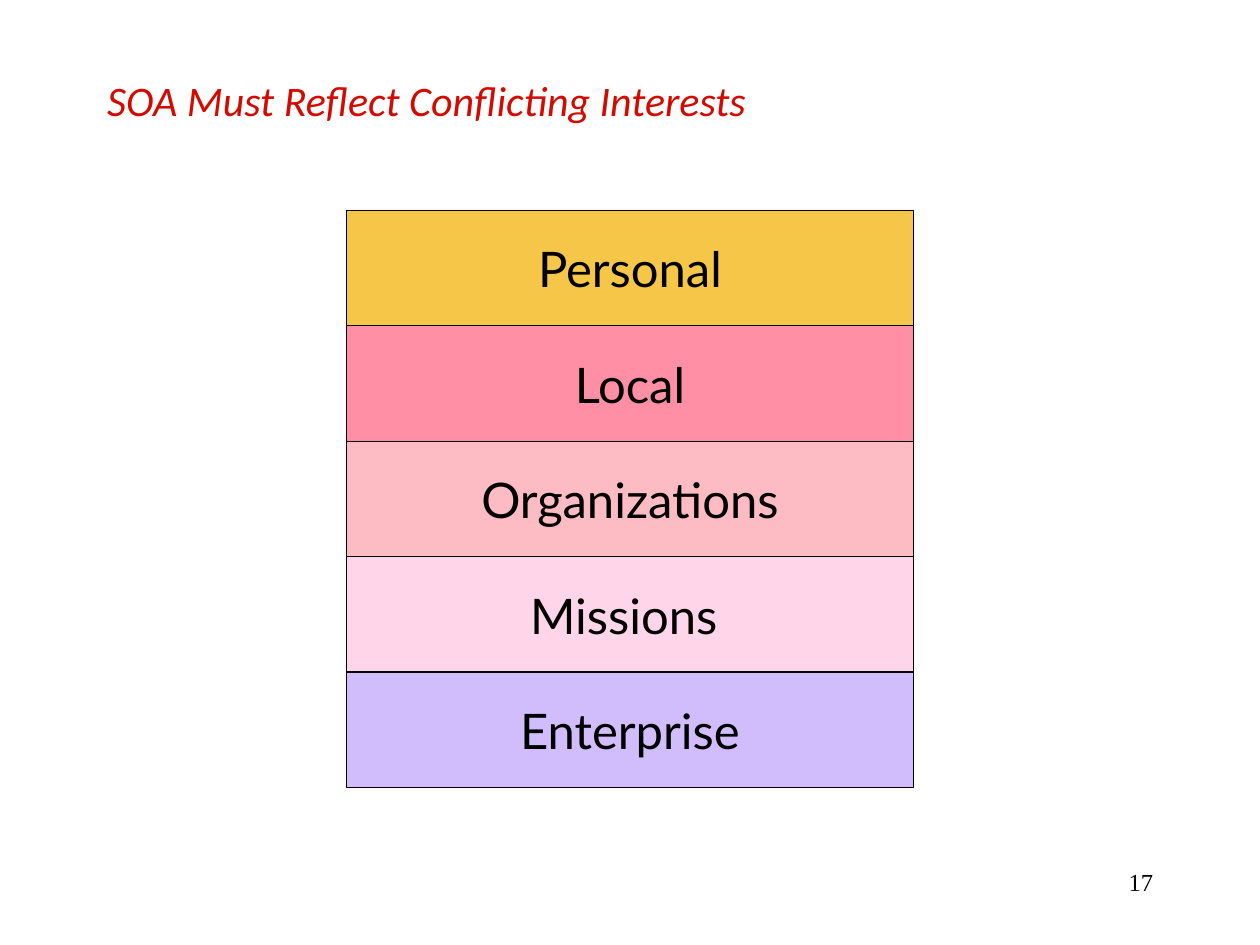
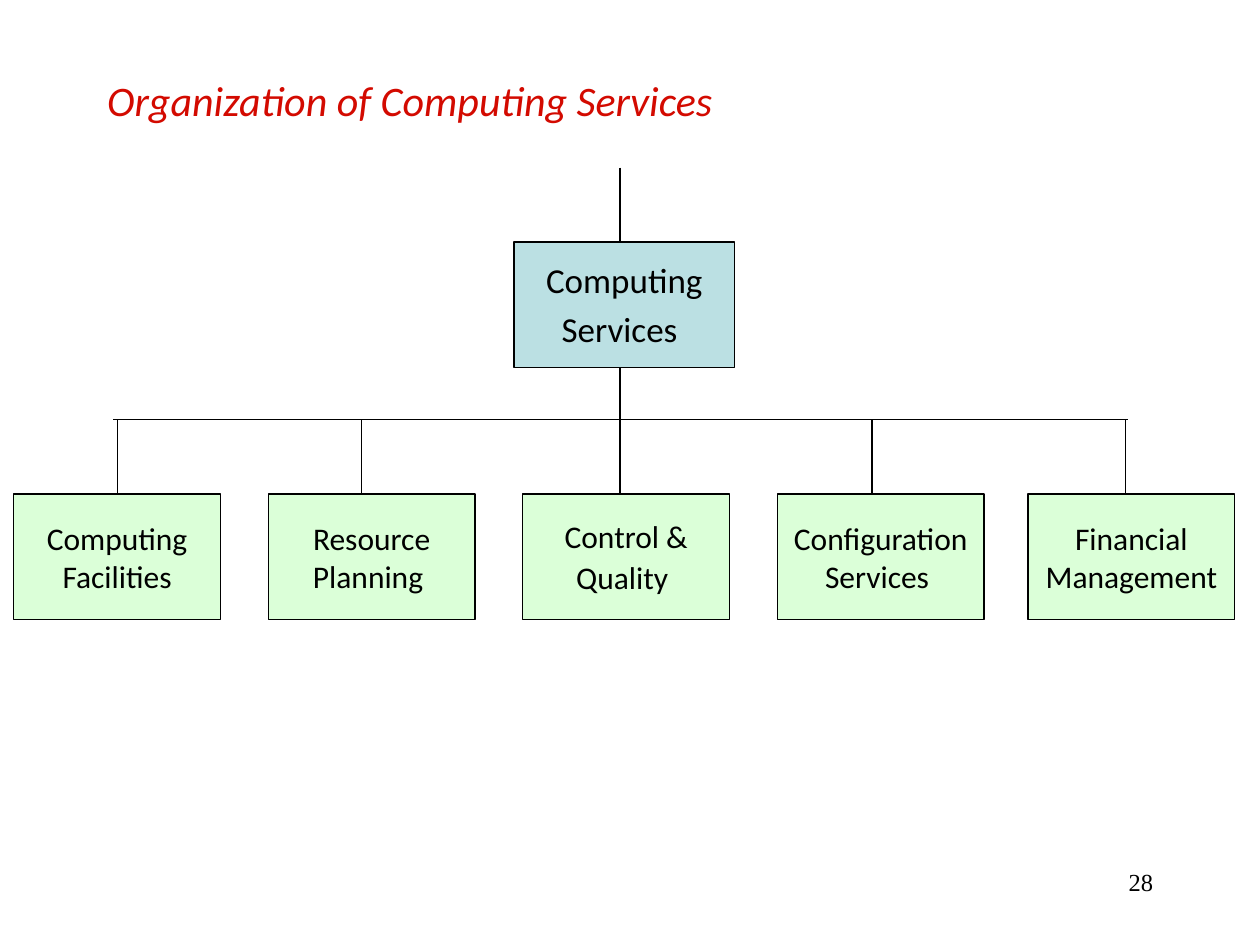
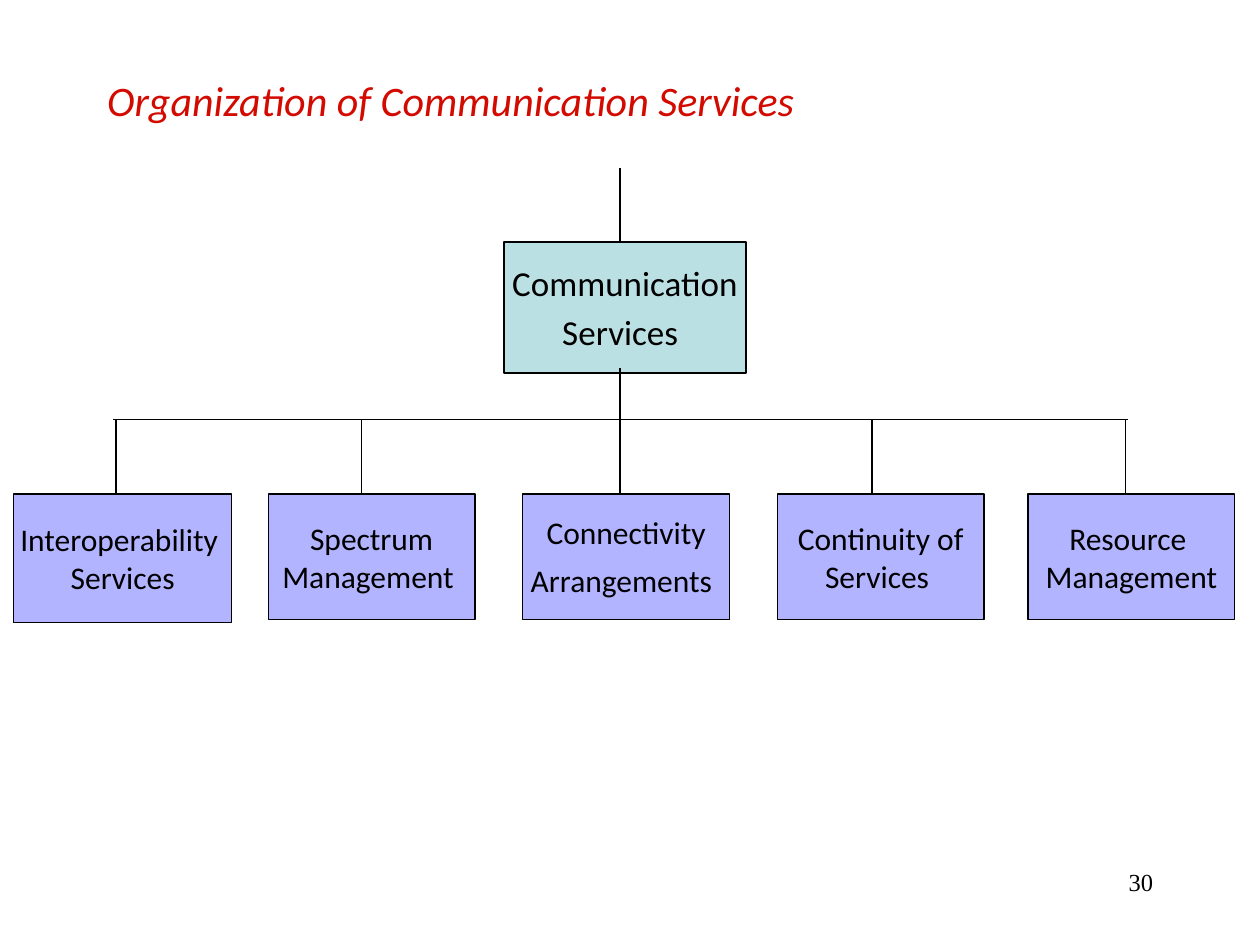
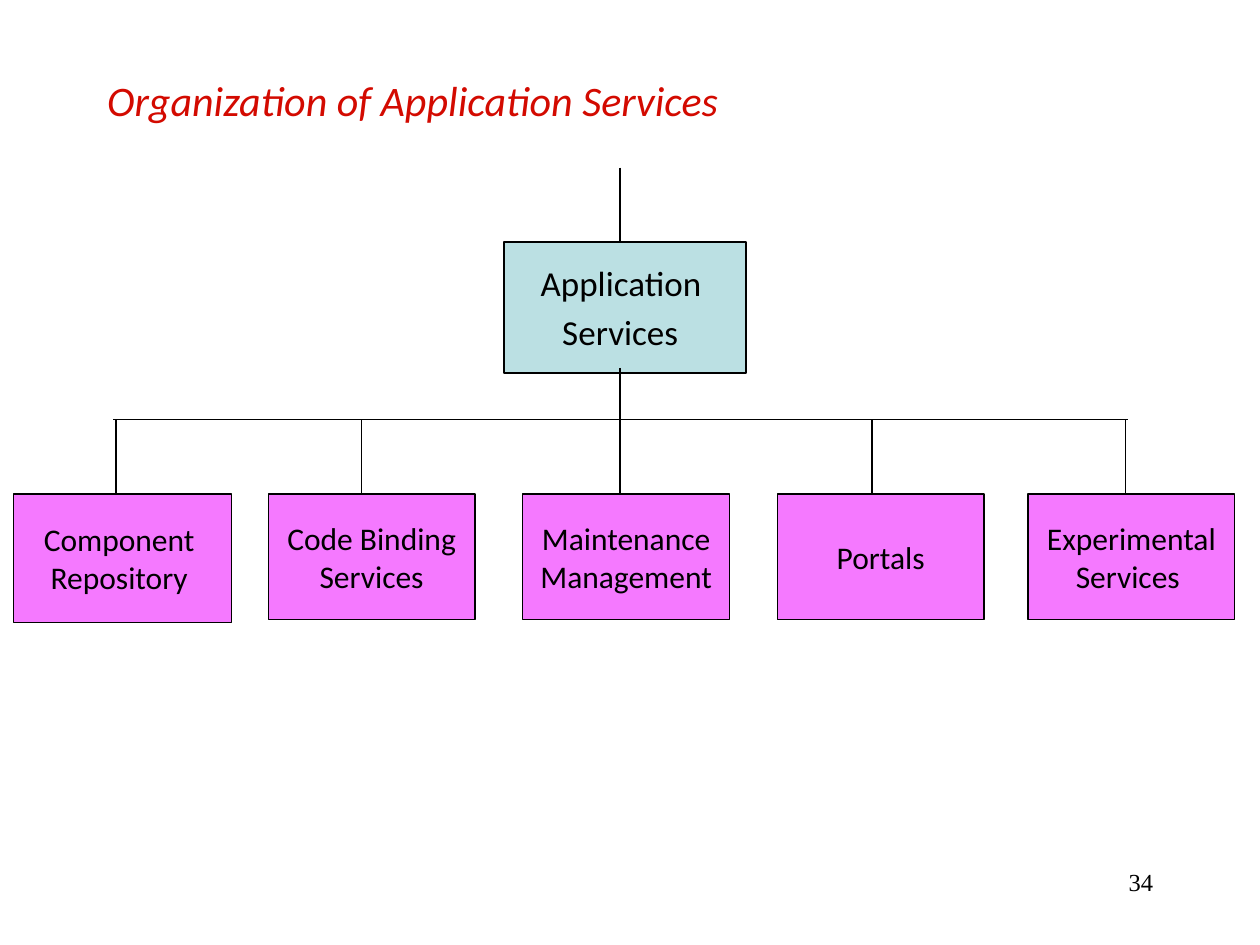
from lxml import etree
from pptx import Presentation
from pptx.dml.color import RGBColor
from pptx.enum import shapes, text
from pptx.oxml.ns import qn
from pptx.util import Inches, Pt

BLACK = RGBColor(0x00, 0x00, 0x00)
RED = RGBColor(0xD3, 0x0A, 0x00)
GOLD = RGBColor(0xF5, 0xC6, 0x47)
ROSE = RGBColor(0xFF, 0x8F, 0xA5)
SALMON = RGBColor(0xFD, 0xBB, 0xC3)
PINK = RGBColor(0xFF, 0xD5, 0xE9)
LILAC = RGBColor(0xD1, 0xBC, 0xFC)
TEAL = RGBColor(0xBB, 0xE0, 0xE3)
GREEN = RGBColor(0xDB, 0xFF, 0xD8)
BLUE = RGBColor(0xB3, 0xB4, 0xFF)
VIOLET = RGBColor(0xF5, 0x79, 0xFF)

# Layers from bottom to top
LAYERS = [
    ("Enterprise", LILAC),
    ("Missions ", PINK),
    ("Organizations", SALMON),
    ("Local", ROSE),
    ("Personal", GOLD),
]
STACK = {"title": "SOA Must Reflect Conflicting Interests", "page": 17}

# A line is a string, or a (string, size of its closing space) pair
SERVICES = ("Services", 24)
CHARTS = [
    {
        "title": "Organization of Computing Services", "page": 28,
        "head": ["Computing", SERVICES], "head_box": (4.08, 1.75, 1),
        "fill": GREEN, "first": (1.64, 1),
        "units": [
            ["Computing", "Facilities"],
            ["Resource", "Planning "],
            ["Control &", ("Quality", 20)],
            ["Configuration", "Services "],
            ["Financial", "Management"],
        ],
    },
    {
        "title": "Organization of Communication Services", "page": 30,
        "head": ["Communication", SERVICES], "head_box": (4, 1.92, 1.04),
        "fill": BLUE, "first": (1.73, 1.02),
        "units": [
            ["Interoperability ", "Services"],
            ["Spectrum", "Management "],
            ["Connectivity", ("Arrangements", 24)],
            ["Continuity of", "Services "],
            ["Resource ", "Management"],
        ],
    },
    {
        "title": "Organization of Application Services", "page": 34,
        "head": ["Application ", SERVICES], "head_box": (4, 1.92, 1.04),
        "fill": VIOLET, "first": (1.73, 1.02),
        "units": [
            ["Component ", "Repository "],
            ["Code Binding", "Services"],
            ["Maintenance", "Management"],
            ["Portals"],
            ["Experimental", "Services "],
        ],
    },
]

STACK_LEFT, STACK_TOP, STACK_END, STACK_WIDE = 2.75, 1.67, 6.25, 4.5
TRUNK, TRUNK_TOP, HEAD_TOP, HEAD_END = 4.92, 1.33, 1.92, 2.92
BUS_LEFT, BUS_RIGHT, BUS_TOP = 0.9, 8.95, 3.33
UNIT_TOP, UNIT_SIZE = 3.92, (1.64, 1)
UNIT_LEFTS = [round(0.11 + 2.02 * i, 2) for i in range(4)] + [8.16]
DROPS = [0.92, 2.87, TRUNK, 6.92, 8.93]


def write(frame, lines, size=18, font="Calibri", color=BLACK, italic=False,
          align=text.PP_ALIGN.CENTER, anchor=text.MSO_ANCHOR.MIDDLE, wrap=False):
    frame.word_wrap = wrap
    frame.vertical_anchor = anchor
    for i, line in enumerate(lines):
        para = frame.paragraphs[0] if i == 0 else frame.add_paragraph()
        para.alignment = align
        runs = [(line, size)] if isinstance(line, str) else [(line[0], size), (" ", line[1])]
        for words, points in runs:
            run = para.add_run()
            run.text = words
            run.font.name = font
            run.font.size = Pt(points)
            run.font.italic = italic
            run.font.color.rgb = color


def place(shape, left, top, wide, high):
    shape.left, shape.top = Inches(left), Inches(top)
    shape.width, shape.height = Inches(wide), Inches(high)


def add_page(deck, title, page):
    """Add a slide with the shared title and page number."""
    slide = deck.slides.add_slide(deck.slide_layouts[5])
    number = slide.shapes.add_textbox(
        Inches(7.17), Inches(6.83), Inches(2.08), Inches(0.5))
    write(number.text_frame, [str(page)], size=14, font="Times New Roman",
          align=text.PP_ALIGN.RIGHT, anchor=text.MSO_ANCHOR.TOP, wrap=True)
    place(slide.shapes.title, 0.75, 0.5, 8.5, 0.58)
    write(slide.shapes.title.text_frame, [title], size=24, color=RED,
          italic=True, align=text.PP_ALIGN.LEFT, wrap=True)
    return slide


def add_box(slide, lines, left, top, wide, high, fill, **style):
    box = slide.shapes.add_shape(
        shapes.MSO_SHAPE.RECTANGLE,
        Inches(left), Inches(top), Inches(wide), Inches(high))
    box.shadow.inherit = False
    box.fill.solid()
    box.fill.fore_color.rgb = fill
    box.line.color.rgb = BLACK
    box.line.width = Pt(0.75)
    write(box.text_frame, lines, **style)
    return box


def add_line(slide, x1, y1, x2, y2):
    line = slide.shapes.add_connector(
        shapes.MSO_CONNECTOR.STRAIGHT,
        Inches(x1), Inches(y1), Inches(x2), Inches(y2))
    line.line.color.rgb = BLACK
    line.line.width = Pt(0.75)
    etree.SubElement(line._element.spPr, qn("a:effectLst"))
    return line


def add_stack(deck):
    slide = add_page(deck, **STACK)
    high = (STACK_END - STACK_TOP) / len(LAYERS)
    for i, (name, fill) in enumerate(LAYERS, 1):
        add_box(slide, [name], STACK_LEFT, STACK_END - i * high,
                STACK_WIDE, high, fill, size=28, font="Lato")


def add_chart(deck, chart):
    """Draw a head box, a bus line and five units hanging from it."""
    slide = add_page(deck, chart["title"], chart["page"])
    left, wide, high = chart["head_box"]
    add_box(slide, chart["head"], left, HEAD_TOP, wide, high, TEAL, size=20)
    add_line(slide, TRUNK, TRUNK_TOP, TRUNK, HEAD_TOP)

    sizes = [chart["first"]] + [UNIT_SIZE] * 4
    boxes = [add_box(slide, lines, x, UNIT_TOP, *size, chart["fill"])
             for lines, x, size in zip(chart["units"], UNIT_LEFTS, sizes)]

    add_line(slide, BUS_LEFT, BUS_TOP, BUS_RIGHT, BUS_TOP)
    for x, box in zip(DROPS, boxes):
        start = HEAD_END if x == TRUNK else BUS_TOP
        drop = add_line(slide, x, start, x, UNIT_TOP)
        middle = box.left + box.width // 2
        if abs(middle - Inches(x)) < Inches(0.02):
            drop.begin_x = middle
            drop.end_connect(box, 0)


def main():
    deck = Presentation()
    deck.slide_width, deck.slide_height = Inches(10), Inches(7.5)
    add_stack(deck)
    for chart in CHARTS:
        add_chart(deck, chart)
    deck.save("out.pptx")


if __name__ == "__main__":
    main()
